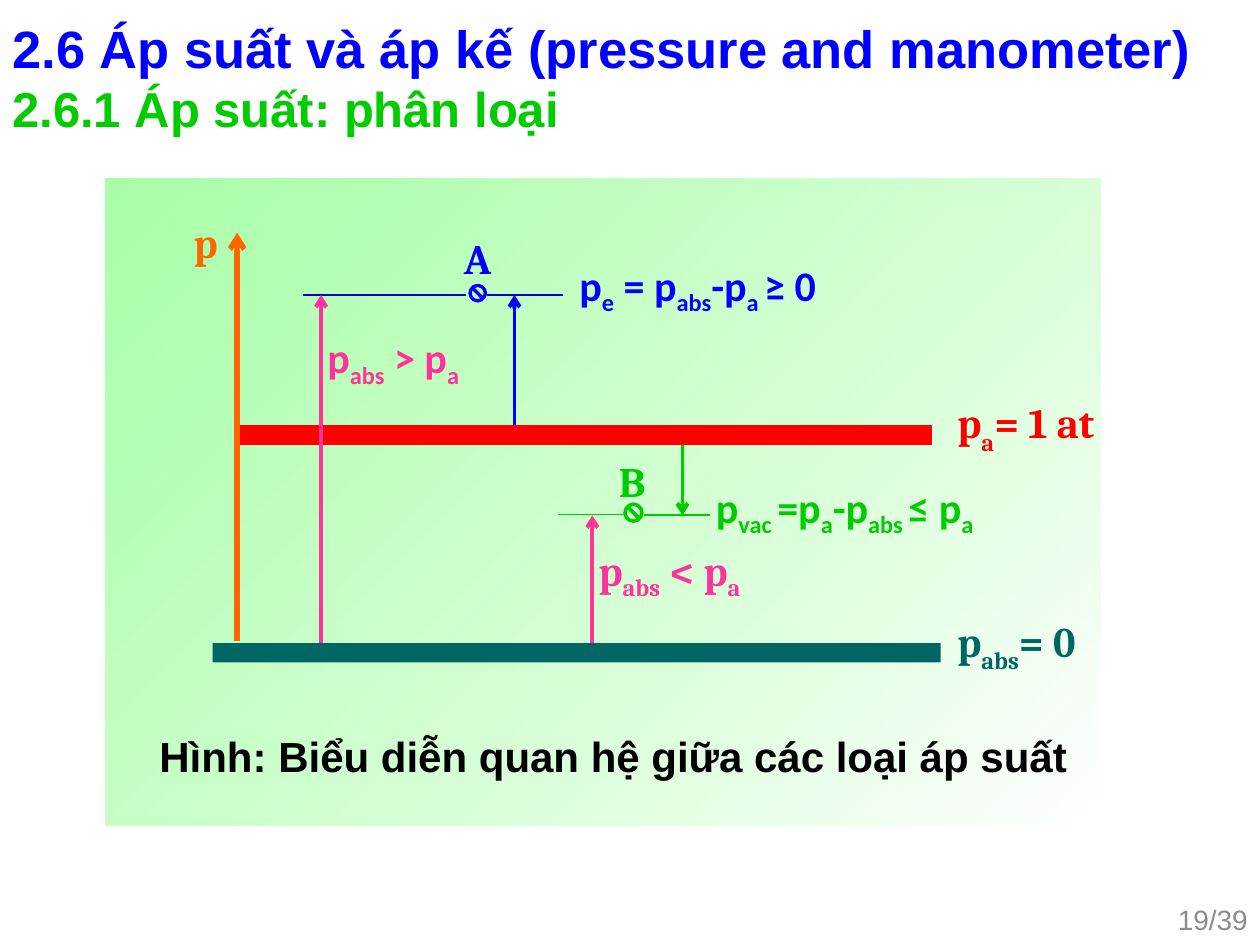
"""Build a slide relating absolute, gauge and vacuum pressure on a level diagram."""
from lxml import etree
from pptx import Presentation
from pptx.dml.color import RGBColor
from pptx.enum.shapes import MSO_CONNECTOR, MSO_SHAPE
from pptx.enum.text import MSO_ANCHOR, PP_ALIGN
from pptx.oxml.ns import qn
from pptx.util import Pt

STRAIGHT = MSO_CONNECTOR.STRAIGHT
RECTANGLE, NO_SYMBOL = MSO_SHAPE.RECTANGLE, MSO_SHAPE.NO_SYMBOL
TOP, MIDDLE = MSO_ANCHOR.TOP, MSO_ANCHOR.MIDDLE
LEFT, RIGHT = PP_ALIGN.LEFT, PP_ALIGN.RIGHT

BLUE = RGBColor(0x00, 0x00, 0xFF)
NAVY = RGBColor(0x00, 0x00, 0xCC)
GREEN = RGBColor(0x00, 0xCC, 0x00)
PINK = RGBColor(0xFF, 0x33, 0x99)
RED = RGBColor(0xFF, 0x00, 0x00)
TEAL = RGBColor(0x00, 0x66, 0x64)
ORANGE = RGBColor(0xFF, 0x66, 0x00)
BLACK = RGBColor(0x00, 0x00, 0x00)
GRAY = RGBColor(0x8C, 0x8C, 0x8C)
MINT = RGBColor(0x99, 0xFF, 0x99)
WHITE = RGBColor(0xFF, 0xFF, 0xFF)

LEVEL_A, LEVEL_ATM, LEVEL_B, LEVEL_ZERO = 168.5, 243, 294, 367.5
BAR_HEIGHT = 11

PANEL = (60, 102, 569, 370)
ATM_BAR = (136, LEVEL_ATM, 396, BAR_HEIGHT)
ZERO_BAR = (121.5, LEVEL_ZERO, 416, BAR_HEIGHT)

LEVEL_LINES = [
    (173, 266.5, LEVEL_A, NAVY),
    (278.5, 322, LEVEL_A, NAVY),
    (319, 356.5, LEVEL_B, GREEN),
    (368, 406, LEVEL_B + 0.5, GREEN),
]
POINTS = [(273, LEVEL_A - 1, 10, BLUE), (362, LEVEL_B - 1, 11, GREEN)]

GAUGE_ARROWS = [
    (294, LEVEL_ATM + 2, LEVEL_A, BLUE, 2.25),
    (390, LEVEL_ATM + 1, LEVEL_B + 0.5, GREEN, 2.25),
]
ABSOLUTE_ARROWS = [
    (183.5, LEVEL_ZERO + 3, LEVEL_A, PINK, 2.25),
    (338.5, LEVEL_ZERO + 2, LEVEL_B + 0.5, PINK, 2.25),
]
PRESSURE_AXIS = (135.5, LEVEL_ZERO - 1, 133, ORANGE, 3)

SUBSCRIPT_MARK = "|"
LABELS = [
    ("p|abs| > p|a", (180, 186, 130, 40), "Calibri", PINK, -25),
    ("p|vac |=p|a|-p|abs |≤ p|a", (402, 271.5, 192, 35), "Calibri", GREEN, -25),
    ("p|e| = p|abs|-p|a |≥ 0", (324, 144.5, 204, 35), "Calibri", BLUE, -25),
    ("A", (258, 129.5, 40, 39), "Cambria", BLUE, 0),
    ("p|abs| < p|a", (335, 307.5, 110, 35), "Cambria", PINK, -25),
    ("B", (346.5, 257, 35, 44), "Cambria", GREEN, 0),
    ("p|abs|= 0", (540, 348, 84, 42), "Cambria", TEAL, -30),
    ("p", (103.5, 120, 32, 46), "Cambria", ORANGE, 0),
    ("p|a|= 1 at", (540, 223, 96, 47), "Cambria", RED, -30),
]
CAPTION = ("Hình: Biểu diễn quan hệ giữa các loại áp suất", (84, 414, 538, 36))
SUBTITLE = ("2.6.1 Áp suất: phân loại", (0, 41, 330, 41))
TITLE = ("2.6 Áp suất và áp kế (pressure and manometer)", (0, 0, 720, 54))
PAGE = ("19/39", (552, 511, 168, 29))


def add_shape(slide, preset, box, color, outline=None):
    shape = slide.shapes.add_shape(preset, *map(Pt, box))
    shape.shadow.inherit = False
    shape.fill.solid()
    shape.fill.fore_color.rgb = color
    if outline:
        shape.line.color.rgb = color
        shape.line.width = Pt(outline)
    else:
        shape.line.fill.background()
    return shape


def add_panel(slide):
    panel = add_shape(slide, RECTANGLE, PANEL, MINT)
    panel.fill.gradient()
    panel.fill.gradient_angle = 315
    start, end = panel.fill.gradient_stops
    start.color.rgb, end.color.rgb = MINT, WHITE
    etree.SubElement(start._gs[0], qn("a:alpha"), val="84000")


def add_line(slide, start, end, color, width):
    line = slide.shapes.add_connector(STRAIGHT, *map(Pt, (*start, *end)))
    line.line.color.rgb = color
    line.line.width = Pt(width)
    etree.SubElement(line._element.spPr, qn("a:effectLst"))
    return line


def add_arrow(slide, x, start_y, end_y, color, width):
    arrow = add_line(slide, (x, start_y), (x, end_y), color, width)
    etree.SubElement(arrow.line._get_or_add_ln(), qn("a:tailEnd"), type="arrow")


def add_point(slide, center_x, center_y, size, color):
    box = (center_x - size / 2, center_y - size / 2, size, size)
    add_shape(slide, NO_SYMBOL, box, color, 0.75).adjustments[0] = 0.12


def add_text(slide, wording, box, font_name, color, size=24, bold=True,
             baseline=0, anchor=TOP, align=LEFT, wrap=True):
    frame = slide.shapes.add_textbox(*map(Pt, box)).text_frame
    frame.word_wrap = wrap
    frame.vertical_anchor = anchor
    paragraph = frame.paragraphs[0]
    paragraph.alignment = align
    for index, part in enumerate(wording.split(SUBSCRIPT_MARK)):
        run = paragraph.add_run()
        run.text = part
        run.font.name = font_name
        run.font.size = Pt(size)
        run.font.bold = bold
        run.font.color.rgb = color
        if index % 2:
            run.font._element.set("baseline", str(baseline * 1000))


def main():
    deck = Presentation()
    deck.slide_width, deck.slide_height = Pt(720), Pt(540)
    slide = deck.slides.add_slide(deck.slide_layouts[6])

    add_panel(slide)
    for left, right, level, color in LEVEL_LINES:
        add_line(slide, (left, level), (right, level), color, 1)
    for point in POINTS:
        add_point(slide, *point)
    for arrow in GAUGE_ARROWS:
        add_arrow(slide, *arrow)
    add_shape(slide, RECTANGLE, ATM_BAR, RED, 0.75)
    for arrow in ABSOLUTE_ARROWS:
        add_arrow(slide, *arrow)
    add_shape(slide, RECTANGLE, ZERO_BAR, TEAL)
    add_arrow(slide, *PRESSURE_AXIS)

    for wording, box, font_name, color, baseline in LABELS:
        add_text(slide, wording, box, font_name, color, baseline=baseline)
    add_text(slide, *CAPTION, "Arial", BLACK, wrap=False)
    add_text(slide, *SUBTITLE, "Arial", GREEN, size=28, anchor=MIDDLE, wrap=False)
    add_text(slide, *TITLE, "Arial", BLUE, size=30, anchor=MIDDLE)
    add_text(slide, *PAGE, "Arial", GRAY, size=16, bold=False, anchor=MIDDLE, align=RIGHT)
    deck.save("out.pptx")


if __name__ == "__main__":
    main()
